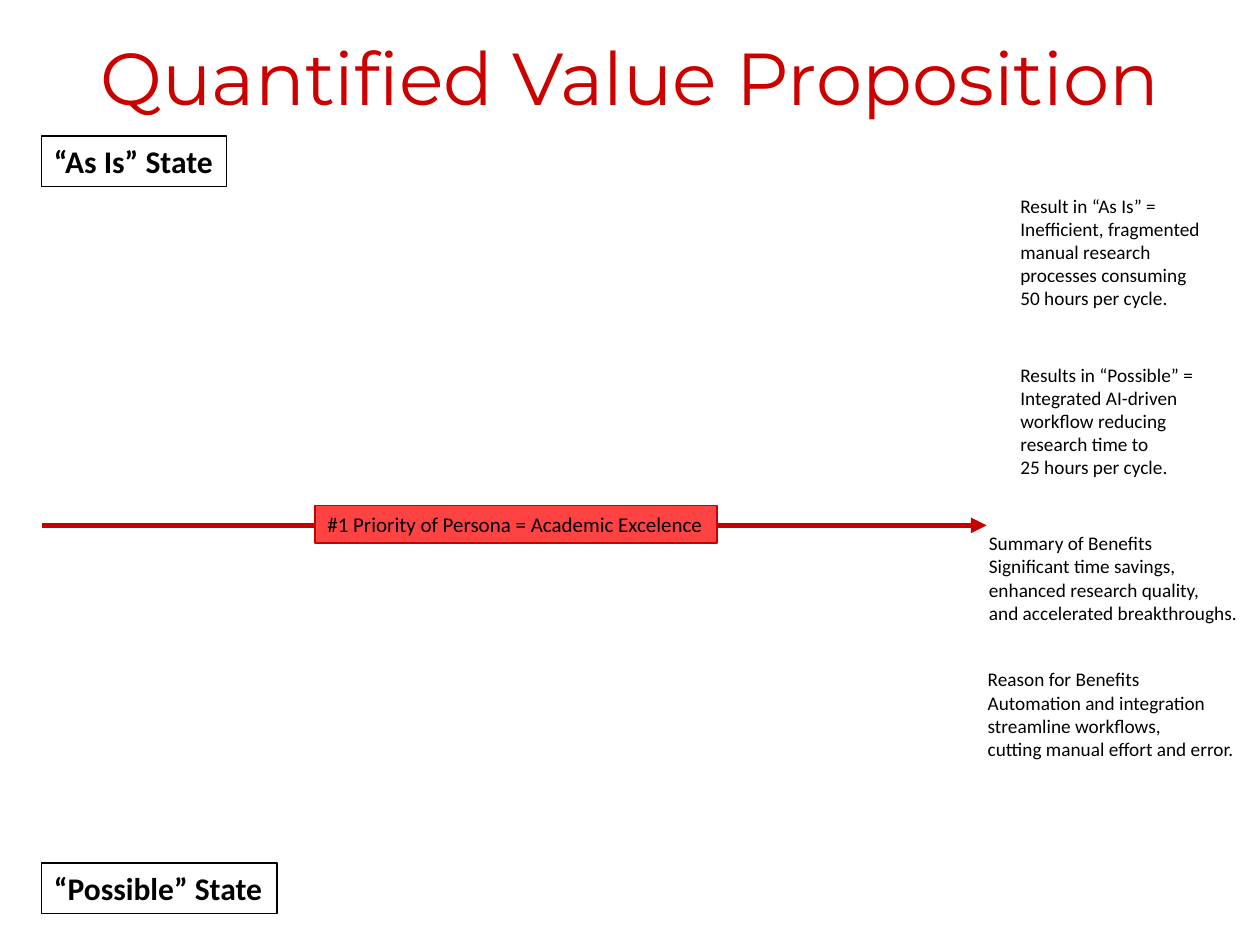
import pptx
import pptx.util
import pptx.dml.color
import pptx.enum.shapes
import pptx.enum.text
import pptx.oxml
import pptx.oxml.ns

Inches, Pt = pptx.util.Inches, pptx.util.Pt
Color = pptx.dml.color.RGBColor
Align = pptx.enum.text.PP_ALIGN
Kind = pptx.enum.shapes.MSO_SHAPE
BLACK = Color(0x00, 0x00, 0x00)
RED = Color(0xC8, 0x00, 0x00)
CORAL = Color(0xFF, 0x43, 0x43)
TITLE = Color(0xCD, 0x00, 0x00)

HEAD = "Quantified Value Proposition"
# text, place, font size, bold, fill, line
LABELS = [
    ("“As Is” State", (0.33, 1.08, 1.47, 0.4), 18, True, None, BLACK),
    ("“Possible” State", (0.33, 6.85, 1.87, 0.4), 18, True, None, BLACK),
    ("#1 Priority of Persona = Academic Excelence",
     (2.5, 4.01, 3.19, 0.3), 12, False, CORAL, RED),
]
NOTES = [
    ((8, 1.49, 1.67, 1.21),
     ["Result in “As Is” =", "Inefficient, fragmented", "manual research",
      "processes consuming", "50 hours per cycle."]),
    ((8, 2.83, 1.57, 1.02),
     ["Results in “Possible” =", "Integrated AI-driven", "workflow reducing",
      "research time to", "25 hours per cycle."]),
    ((7.75, 4.17, 2.18, 0.84),
     ["Summary of Benefits\vSignificant time savings,",
      "enhanced research quality,", "and accelerated breakthroughs."]),
    ((7.74, 5.25, 2.18, 0.84),
     ["Reason for Benefits", "Automation and integration",
      "streamline workflows,", "cutting manual effort and error."]),
]
ARROW = (0.33, 4.17, 7.83, 4.17)


def write(shape, lines, size, color=BLACK, name="Calibri", bold=False,
          align=Align.LEFT, wrap=False):
    frame = shape.text_frame
    frame.word_wrap = wrap
    frame.text = ""
    for i, line in enumerate(lines):
        para = frame.add_paragraph() if i else frame.paragraphs[0]
        para.text = line
        para.alignment = align
        for run in para.runs:
            for key, value in dict(size=Pt(size), name=name, bold=bold).items():
                setattr(run.font, key, value)
            run.font.color.rgb = color
    return frame


deck = pptx.Presentation()
deck.slide_width, deck.slide_height = Inches(10), Inches(7.5)
slide = deck.slides.add_slide(deck.slide_layouts[6])
shapes = slide.shapes

arrow = shapes.add_connector(pptx.enum.shapes.MSO_CONNECTOR.STRAIGHT,
                             *map(Inches, ARROW))
arrow.line.color.rgb = RED
arrow.line.width = Pt(3)
tip = pptx.oxml.parse_xml(
    f'<a:tailEnd {pptx.oxml.ns.nsdecls("a")} type="triangle"/>')
arrow.line._get_or_add_ln().append(tip)
arrow._element.spPr.append(
    pptx.oxml.parse_xml(f'<a:effectLst {pptx.oxml.ns.nsdecls("a")}/>'))

title = shapes.add_textbox(*map(Inches, (0.5, 0.33, 9, 1.42)))
frame = write(title, [HEAD], 42, TITLE, "Montserrat", align=Align.CENTER, wrap=True)
frame.paragraphs[0].line_spacing = 0.9
for side in ("left", "top", "right", "bottom"):
    setattr(frame, f"margin_{side}", 0)

for text, place, size, bold, fill, line in LABELS:
    box = shapes.add_shape(Kind.RECTANGLE, *map(Inches, place))
    box.shadow.inherit = False
    if fill is None:
        box.fill.background()
    else:
        box.fill.solid()
        box.fill.fore_color.rgb = fill
    box.line.color.rgb = line
    box.line.width = Pt(0.75)
    write(box, [text], size, bold=bold)

for place, lines in NOTES:
    write(shapes.add_textbox(*map(Inches, place)), lines, 11)

deck.save("out.pptx")
